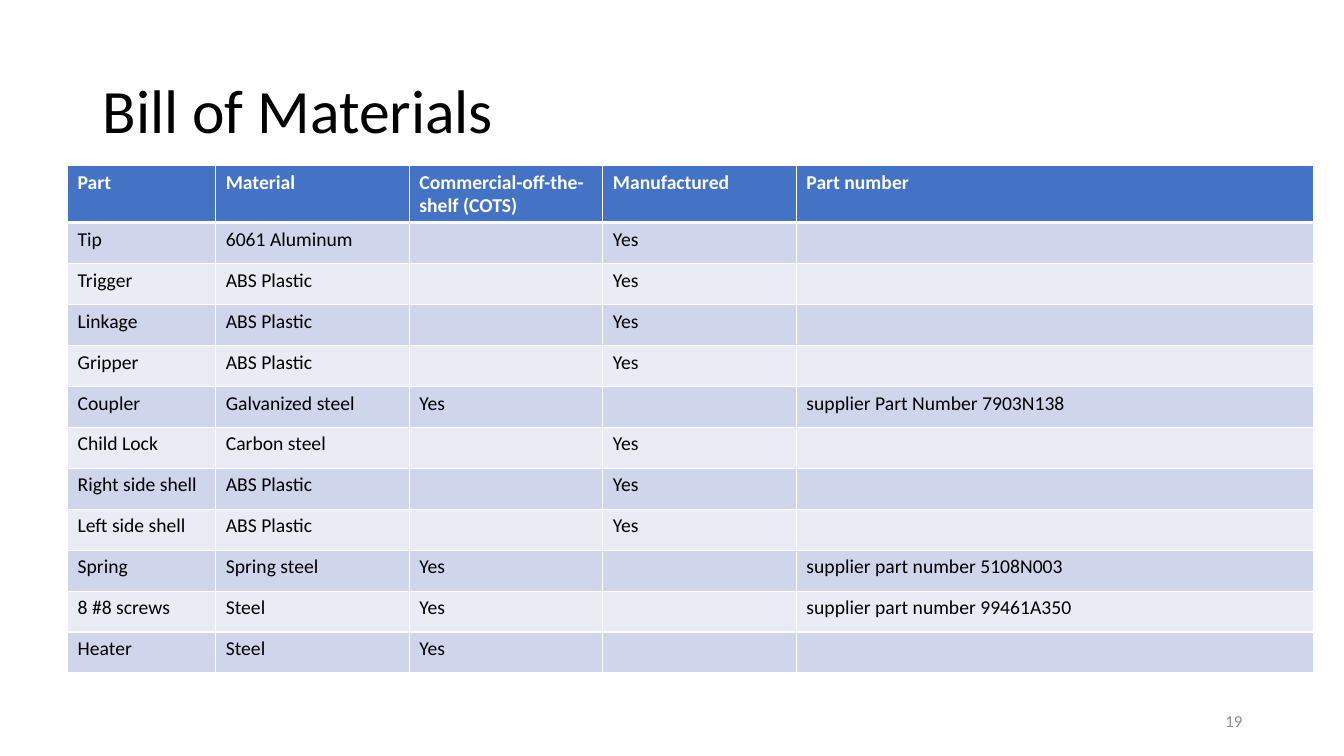
from dataclasses import dataclass
from lxml.etree import SubElement
from pptx import Presentation
from pptx.dml.color import RGBColor
from pptx.enum.text import MSO_ANCHOR, PP_ALIGN
from pptx.oxml.ns import qn
from pptx.util import Inches, Pt

# Content
TITLE = "Bill of Materials"
PAGE = "19"
HEAD = ("Part", "Material", "Commercial-off-the-shelf (COTS)",
        "Manufactured", "Part number")
PARTS = [
    ("Tip", "6061 Aluminum", "", "Yes", ""),
    ("Trigger", "ABS Plastic", "", "Yes", ""),
    ("Linkage", "ABS Plastic", "", "Yes", ""),
    ("Gripper", "ABS Plastic", "", "Yes", ""),
    ("Coupler", "Galvanized steel", "Yes", "", "supplier Part Number 7903N138"),
    ("Child Lock", "Carbon steel", "", "Yes", ""),
    ("Right side shell", "ABS Plastic", "", "Yes", ""),
    ("Left side shell", "ABS Plastic", "", "Yes", ""),
    ("Spring", "Spring steel", "Yes", "", "supplier part number 5108N003"),
    ("8 #8 screws", "Steel", "Yes", "", "supplier part number 99461A350"),
    ("Heater", "Steel", "Yes", "", ""),
]


@dataclass(frozen=True)
class Theme:
    font: str = "Calibri"
    ink: str = "000000"
    white: str = "FFFFFF"
    gray: str = "8C8C8C"
    blue: str = "4472C4"
    bands: tuple = ("CFD5EA", "E9EBF5")
    title: int = 44
    cell: int = 14
    page: int = 12
    rule: int = 1
    thick: int = 3


LOOK = Theme()

# Layout in inches
WIDE, HIGH = 13.33, 7.5
TITLE_BOX = (0.92, 0.4, 11.5, 1.45)
PAGE_BOX = (9.42, 6.95, 3, 0.4)
LEFT, TOP, TALL = 0.67, 1.64, 5.03
COLS = (1.47, 1.92, 1.92, 1.92, 5.13)
HEAD_ROW = 0.56
PART_ROW = (TALL - HEAD_ROW) / len(PARTS)


def write(par, text, size, color, bold=False):
    run = par.add_run()
    run.text = text
    font = run.font
    font.name, font.size, font.bold = LOOK.font, Pt(size), bold
    font.color.rgb = RGBColor.from_string(color)


def label(slide, box, text, size, color):
    frame = slide.shapes.add_textbox(*map(Inches, box)).text_frame
    frame.word_wrap = True
    frame.vertical_anchor = MSO_ANCHOR.MIDDLE
    par = frame.paragraphs[0]
    write(par, text, size, color)
    return par


def border(cell, row):
    props = cell._tc.get_or_add_tcPr()
    widths = {"L": LOOK.rule, "R": LOOK.rule,
              "T": LOOK.thick if row == 1 else LOOK.rule,
              "B": LOOK.thick if row == 0 else LOOK.rule}
    for side, width in widths.items():
        line = SubElement(props, qn(f"a:ln{side}"), w=str(Pt(width)))
        fill = SubElement(line, qn("a:solidFill"))
        SubElement(fill, qn("a:srgbClr"), val=LOOK.white)


def grid(slide):
    rows = [HEAD, *PARTS]
    table = slide.shapes.add_table(
        len(rows), len(COLS), Inches(LEFT), Inches(TOP),
        Inches(sum(COLS)), Inches(TALL)).table
    for col, width in zip(table.columns, COLS):
        col.width = Inches(width)
    for i, texts in enumerate(rows):
        head = i == 0
        table.rows[i].height = Inches(HEAD_ROW if head else PART_ROW)
        shade = LOOK.blue if head else LOOK.bands[(i - 1) % 2]
        for j, text in enumerate(texts):
            cell = table.cell(i, j)
            border(cell, i)
            cell.fill.solid()
            cell.fill.fore_color.rgb = RGBColor.from_string(shade)
            if text:
                write(cell.text_frame.paragraphs[0], text, LOOK.cell,
                      LOOK.white if head else LOOK.ink, head)


def main():
    deck = Presentation()
    deck.slide_width, deck.slide_height = Inches(WIDE), Inches(HIGH)
    slide = deck.slides.add_slide(deck.slide_layouts[6])

    # Title, table, page number
    title = label(slide, TITLE_BOX, TITLE, LOOK.title, LOOK.ink)
    title.line_spacing = 0.9
    grid(slide)
    page = label(slide, PAGE_BOX, PAGE, LOOK.page, LOOK.gray)
    page.alignment = PP_ALIGN.RIGHT

    deck.save("out.pptx")


if __name__ == "__main__":
    main()
